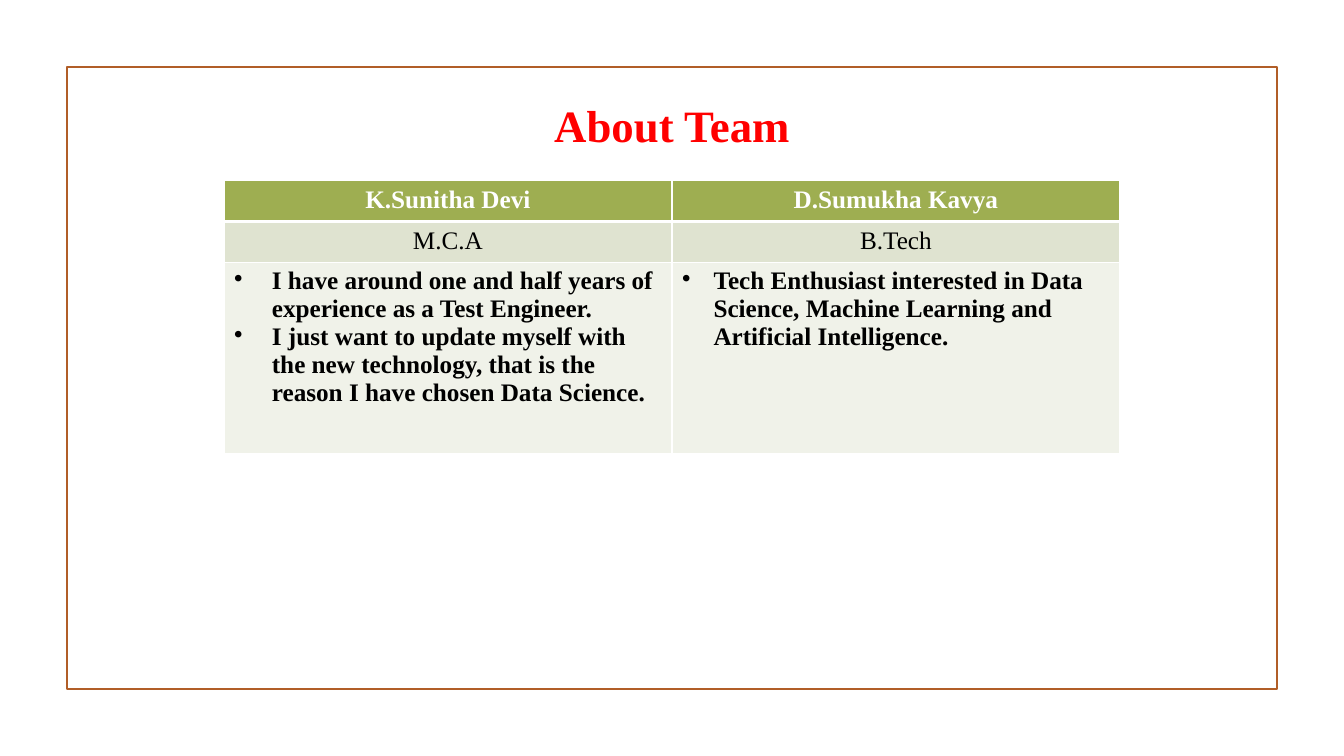
from lxml import etree
from pptx import Presentation
from pptx.dml.color import RGBColor
from pptx.enum.shapes import MSO_SHAPE
from pptx.enum.text import PP_ALIGN
from pptx.oxml.ns import qn
from pptx.util import Pt

RECTANGLE = MSO_SHAPE.RECTANGLE
CENTER = PP_ALIGN.CENTER
LEFT = PP_ALIGN.LEFT

BROWN = RGBColor(0xB1, 0x5E, 0x28)
RED = RGBColor(0xFF, 0x00, 0x00)
WHITE = RGBColor(0xFF, 0xFF, 0xFF)
BLACK = RGBColor(0x00, 0x00, 0x00)
OLIVE = RGBColor(0x9E, 0xAE, 0x51)
SAGE = RGBColor(0xDF, 0xE3, 0xD0)
PALE = RGBColor(0xF0, 0xF2, 0xE9)

FONT = "Times New Roman"
MEMBERS = [
    ("K.Sunitha Devi", "M.C.A", 27, [
        "I have around one and half years of experience as a Test Engineer.",
        "I just want to update myself with the new technology, "
        "that is the reason I have chosen Data Science."]),
    ("D.Sumukha Kavya", "B.Tech", 22.5, [
        "Tech Enthusiast interested in Data Science, "
        "Machine Learning and Artificial Intelligence."]),
]


def style(p, size, color, bold, align):
    p.alignment = align
    p.font.name = FONT
    p.font.size = Pt(size)
    p.font.bold = bold
    p.font.color.rgb = color


def add_bullet(p, indent):
    pPr = p._p.get_or_add_pPr()
    pPr.set("marL", str(Pt(indent)))
    pPr.set("indent", str(-Pt(indent)))
    bullet = etree.Element(qn("a:buChar"), char="•")
    pPr.insert_element_before(bullet, "a:tabLst", "a:defRPr", "a:extLst")


def add_borders(cell, top, bottom):
    tcPr = cell._tc.get_or_add_tcPr()
    widths = {"a:lnL": 1, "a:lnR": 1, "a:lnT": top, "a:lnB": bottom}
    for i, (tag, width) in enumerate(widths.items()):
        ln = etree.Element(qn(tag), w=str(Pt(width)))
        fill = etree.SubElement(ln, qn("a:solidFill"))
        etree.SubElement(fill, qn("a:srgbClr"), val=str(WHITE))
        tcPr.insert(i, ln)


def fill_cell(cell, lines, fill, color, bold, align, top=1, bottom=1, indent=0):
    cell.fill.solid()
    cell.fill.fore_color.rgb = fill
    add_borders(cell, top, bottom)
    tf = cell.text_frame
    tf.text = "\n".join(lines)
    for p in tf.paragraphs:
        style(p, 18, color, bold, align)
        if indent:
            add_bullet(p, indent)


def add_frame(s, x, y, w, h):
    sp = s.shapes.add_shape(RECTANGLE, Pt(x), Pt(y), Pt(w), Pt(h))
    sp.shadow.inherit = False
    sp.fill.background()
    sp.line.color.rgb = BROWN
    sp.line.width = Pt(1.25)


def add_title(s, x, y, w, h):
    tf = s.shapes.add_textbox(Pt(x), Pt(y), Pt(w), Pt(h)).text_frame
    tf.word_wrap = True
    p = tf.paragraphs[0]
    p.text = "About Team"
    p.line_spacing = 0.8
    style(p, 32, RED, True, CENTER)


def add_team_table(s, x, y, w, h):
    row_h = 29.2
    table = s.shapes.add_table(3, len(MEMBERS), Pt(x), Pt(y), Pt(w), Pt(h)).table
    for row, height in zip(table.rows, (row_h, row_h, h - 2 * row_h)):
        row.height = Pt(height)
    for col, (name, degree, indent, profile) in enumerate(MEMBERS):
        table.columns[col].width = Pt(w / len(MEMBERS))
        fill_cell(table.cell(0, col), [name], OLIVE, WHITE, True, CENTER, bottom=3)
        fill_cell(table.cell(1, col), [degree], SAGE, BLACK, False, CENTER, top=3)
        fill_cell(table.cell(2, col), profile, PALE, BLACK, True, LEFT, indent=indent)


def main():
    prs = Presentation()
    prs.slide_width, prs.slide_height = Pt(960), Pt(540)
    s = prs.slides.add_slide(prs.slide_layouts[6])
    add_frame(s, 48, 48, 864, 444)
    add_title(s, 240, 74, 480, 39)
    add_team_table(s, 160, 129, 640, 195)
    prs.save("out.pptx")


if __name__ == "__main__":
    main()
